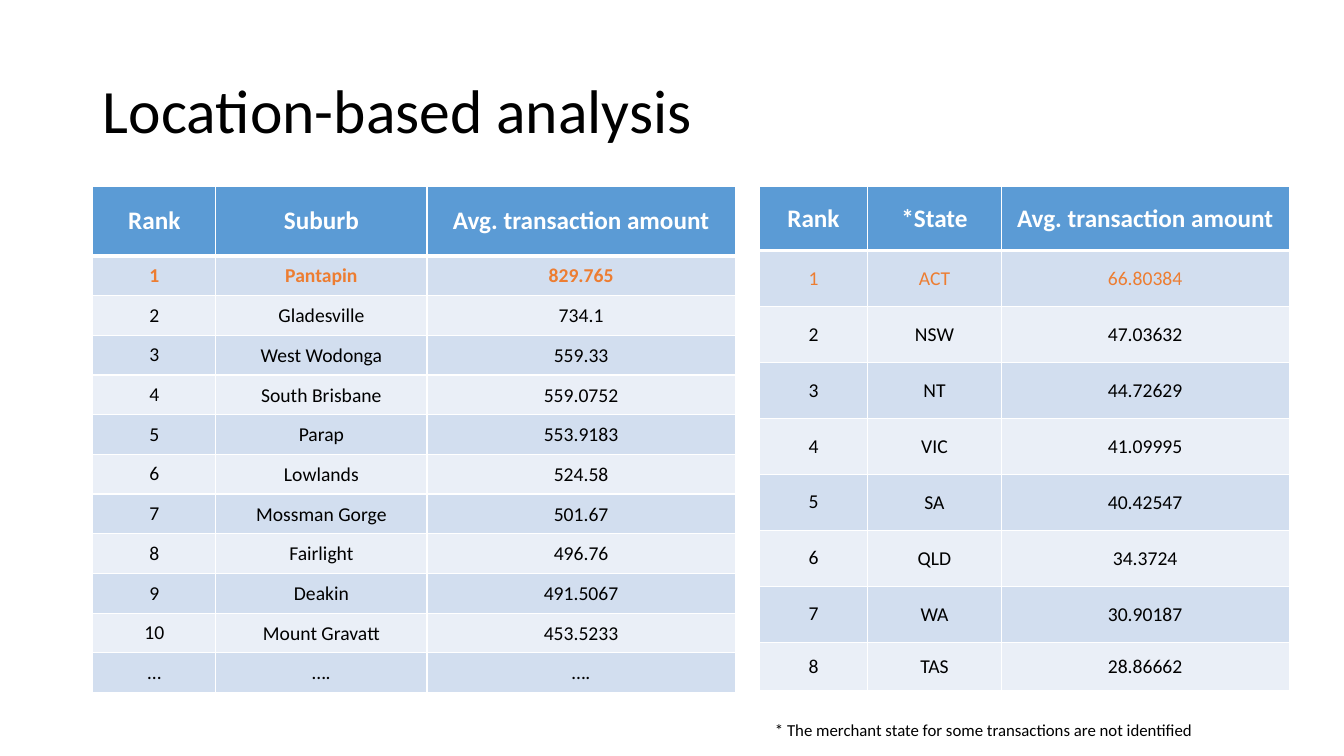
from dataclasses import dataclass

from lxml.etree import SubElement
from pptx import Presentation
from pptx.dml.color import RGBColor
from pptx.enum.text import MSO_ANCHOR, MSO_AUTO_SIZE, PP_ALIGN
from pptx.oxml.ns import qn
from pptx.slide import Slide
from pptx.table import _Cell
from pptx.text.text import _Paragraph
from pptx.util import Cm, Pt


@dataclass(frozen=True)
class Theme:
    font: str = "Calibri"
    ink: str = "000000"
    white: str = "FFFFFF"
    header: str = "5B9BD5"
    bands: tuple[str, str] = ("D2DEEF", "EAEFF7")
    accent: str = "ED7D31"
    title_size: int = 44
    header_size: int = 18
    body_size: int = 14
    note_size: int = 12


@dataclass(frozen=True)
class Ranking:
    left: float
    column_widths: tuple[float, ...]
    row_heights: tuple[float, ...]
    headings: tuple[str, ...]
    entries: tuple[tuple[str, str, str], ...]
    bold_leader: bool


THEME = Theme()
TABLE_TOP = 4.7

SUBURBS = Ranking(
    left=2.34,
    column_widths=(3.1, 5.32, 7.77),
    row_heights=(1.75,) + (1.0,) * 11,
    headings=("Rank", "Suburb", "Avg. transaction amount"),
    entries=(
        ("1", "Pantapin", "829.765"),
        ("2", "Gladesville", "734.1"),
        ("3", "West Wodonga", "559.33"),
        ("4", "South Brisbane", "559.0752"),
        ("5", "Parap", "553.9183"),
        ("6", "Lowlands", "524.58"),
        ("7", "Mossman Gorge", "501.67"),
        ("8", "Fairlight", "496.76"),
        ("9", "Deakin", "491.5067"),
        ("10", "Mount Gravatt", "453.5233"),
        ("…", "….", "…."),
    ),
    bold_leader=True,
)

STATES = Ranking(
    left=19.13,
    column_widths=(2.74, 3.36, 7.26),
    row_heights=(1.61,) + (1.41,) * 7 + (1.23,),
    headings=("Rank", "*State", "Avg. transaction amount"),
    entries=(
        ("1", "ACT", "66.80384"),
        ("2", "NSW", "47.03632"),
        ("3", "NT", "44.72629"),
        ("4", "VIC", "41.09995"),
        ("5", "SA", "40.42547"),
        ("6", "QLD", "34.3724"),
        ("7", "WA", "30.90187"),
        ("8", "TAS", "28.86662"),
    ),
    bold_leader=False,
)


def style_paragraph(para: _Paragraph, size: int, color: str, bold: bool = False) -> None:
    para.font.name = THEME.font
    para.font.size = Pt(size)
    para.font.bold = bold
    para.font.color.rgb = RGBColor.from_string(color)


def add_borders(cell: _Cell, top: int, bottom: int) -> None:
    properties = cell._tc.get_or_add_tcPr()
    for side, width in (("lnL", 1), ("lnR", 1), ("lnT", top), ("lnB", bottom)):
        line = SubElement(properties, qn(f"a:{side}"), w=str(Pt(width)))
        fill = SubElement(line, qn("a:solidFill"))
        SubElement(fill, qn("a:srgbClr"), val=THEME.white)


def fill_cell(cell: _Cell, text: str, row: int, column: int, bold_leader: bool) -> None:
    is_header, is_leader = row == 0, row == 1
    add_borders(cell, top=3 if is_leader else 1, bottom=3 if is_header else 1)
    cell.fill.solid()
    background = THEME.header if is_header else THEME.bands[(row - 1) % 2]
    cell.fill.fore_color.rgb = RGBColor.from_string(background)
    cell.vertical_anchor = MSO_ANCHOR.MIDDLE
    if not is_header and column > 0:
        cell.margin_left = cell.margin_right = cell.margin_top = Cm(0.02)
        cell.margin_bottom = 0
    cell.text = text
    para = cell.text_frame.paragraphs[0]
    para.alignment = PP_ALIGN.CENTER
    if is_header:
        style_paragraph(para, THEME.header_size, THEME.white, bold=True)
    elif is_leader:
        style_paragraph(para, THEME.body_size, THEME.accent, bold_leader)
    else:
        style_paragraph(para, THEME.body_size, THEME.ink)


def add_ranking(page: Slide, ranking: Ranking) -> None:
    rows = (ranking.headings, *ranking.entries)
    table = page.shapes.add_table(
        len(rows), len(ranking.headings),
        Cm(ranking.left), Cm(TABLE_TOP),
        Cm(sum(ranking.column_widths)), Cm(sum(ranking.row_heights)),
    ).table
    for column, width in zip(table.columns, ranking.column_widths):
        column.width = Cm(width)
    for row, height in zip(table.rows, ranking.row_heights):
        row.height = Cm(height)
    for row_index, texts in enumerate(rows):
        for column_index, text in enumerate(texts):
            cell = table.cell(row_index, column_index)
            fill_cell(cell, text, row_index, column_index, ranking.bold_leader)


def add_title(page: Slide, text: str) -> None:
    title = page.shapes.title
    title.left, title.top, title.width, title.height = Cm(2.34), Cm(1.01), Cm(29.21), Cm(3.68)
    title.text_frame.text = text
    title.text_frame.vertical_anchor = MSO_ANCHOR.MIDDLE
    para = title.text_frame.paragraphs[0]
    para.alignment = PP_ALIGN.LEFT
    para.line_spacing = 0.9
    style_paragraph(para, THEME.title_size, THEME.ink)


def add_footnote(page: Slide, text: str) -> None:
    box = page.shapes.add_textbox(Cm(19.28), Cm(18.01), Cm(21.49), Cm(0.77))
    box.text_frame.word_wrap = True
    box.text_frame.auto_size = MSO_AUTO_SIZE.SHAPE_TO_FIT_TEXT
    box.text_frame.text = text
    style_paragraph(box.text_frame.paragraphs[0], THEME.note_size, THEME.ink)


def main() -> None:
    deck = Presentation()
    deck.slide_width, deck.slide_height = Cm(33.87), Cm(19.05)
    page = deck.slides.add_slide(deck.slide_layouts.get_by_name("Title Only"))
    add_title(page, "Location-based analysis")
    for ranking in (SUBURBS, STATES):
        add_ranking(page, ranking)
    add_footnote(page, "* The merchant state for some transactions are not identified")
    deck.save("out.pptx")


if __name__ == "__main__":
    main()
